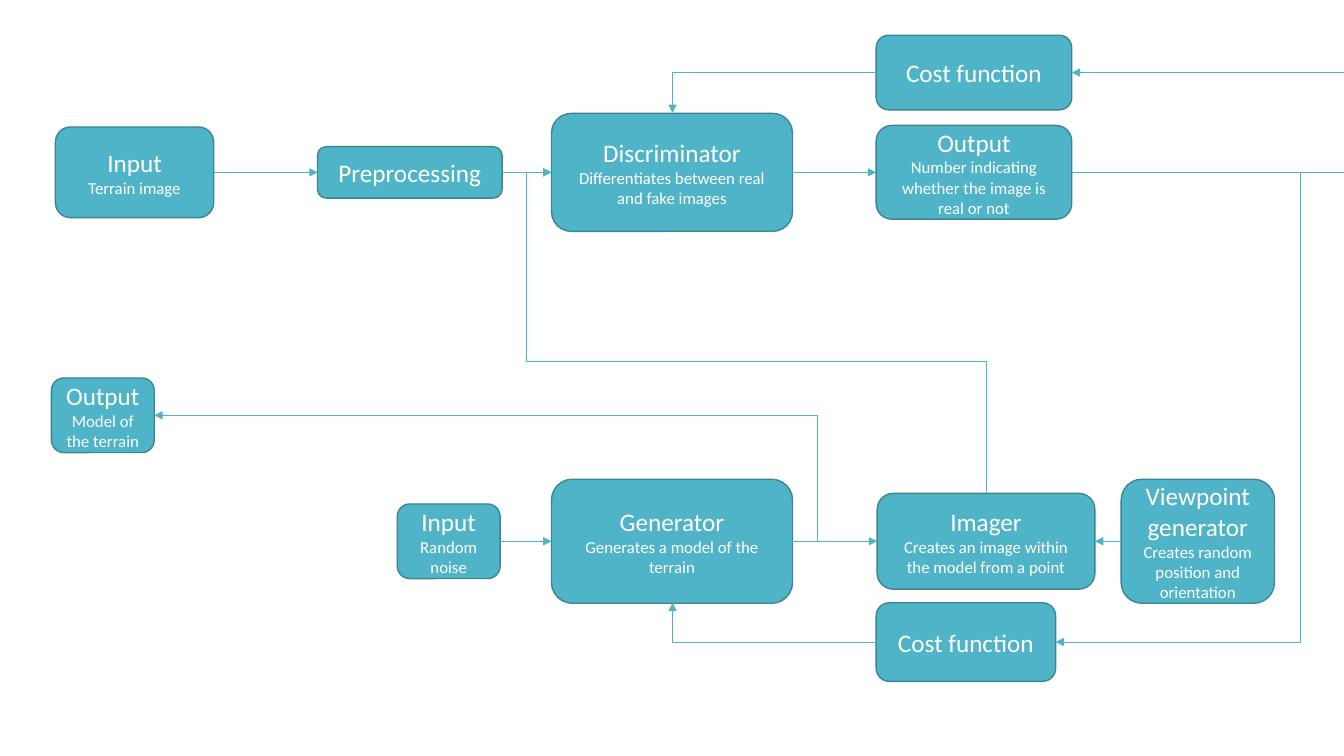
"""Draw the flow of a terrain network with its two feedback loops."""
from lxml import etree
from pptx import Presentation
from pptx.dml.color import RGBColor
from pptx.enum.shapes import MSO_CONNECTOR, MSO_SHAPE
from pptx.enum.text import MSO_ANCHOR, PP_ALIGN
from pptx.oxml.ns import qn
from pptx.util import Inches, Pt

ROUND = MSO_SHAPE.ROUNDED_RECTANGLE
STRAIGHT = MSO_CONNECTOR.STRAIGHT
MIDDLE = MSO_ANCHOR.MIDDLE
CENTER = PP_ALIGN.CENTER
TEAL = RGBColor(0x50, 0xB4, 0xC8)
DARK = RGBColor(0x3B, 0x85, 0x94)
WHITE = RGBColor(0xFF, 0xFF, 0xFF)
WIDTH, HEIGHT = 13.33, 7.5
LEFT, RIGHT = 1, 3
REAL, FAKE = 1.71, 5.37
TOP, MODEL, LOW = 0.72, 4.12, 6.37


def add_box(slide, left, mid, width, height, title, note=""):
    """Add a rounded box centred on the height mid."""
    box = slide.shapes.add_shape(
        ROUND, Inches(left), Inches(mid - height / 2),
        Inches(width), Inches(height))
    box.shadow.inherit = False
    box.fill.solid()
    box.fill.fore_color.rgb = TEAL
    box.line.color.rgb = DARK
    box.line.width = Pt(1)
    frame = box.text_frame
    frame.word_wrap = True
    frame.vertical_anchor = MIDDLE
    frame.text = f"{title}\n{note}" if note else title
    for para, size in zip(frame.paragraphs, (18, 12)):
        para.alignment = CENTER
        para.font.name = "Calibri"
        para.font.size = Pt(size)
        para.font.color.rgb = WHITE
    return box


def style_line(shape, arrow=True):
    """Give a line its colour, width and arrowhead."""
    shape.line.color.rgb = TEAL
    shape.line.width = Pt(0.75)
    if arrow:
        line = shape._element.spPr.get_or_add_ln()
        etree.SubElement(line, qn("a:tailEnd"), type="triangle")


def add_line(slide, start, end, arrow=True):
    """Add a straight line between two points."""
    points = [Inches(value) for value in (*start, *end)]
    line = slide.shapes.add_connector(STRAIGHT, *points)
    style_line(line, arrow)
    etree.SubElement(line._element.spPr, qn("a:effectLst"))
    return line


def link(slide, first, second, out=RIGHT, into=LEFT):
    """Join the facing sides of two boxes with an arrow."""
    line = add_line(slide, (0, 0), (1, 1))
    line.begin_connect(first, out)
    line.end_connect(second, into)


def add_route(slide, *points):
    """Add a bent arrow through the points."""
    start, *rest = [(Inches(x), Inches(y)) for x, y in points]
    maker = slide.shapes.build_freeform(*start)
    maker.add_line_segments(rest, close=False)
    route = maker.convert_to_shape()
    route.shadow.inherit = False
    route.fill.background()
    style_line(route)


def main():
    """Build and save the slide."""
    deck = Presentation()
    deck.slide_width, deck.slide_height = Inches(WIDTH), Inches(HEIGHT)
    slide = deck.slides.add_slide(deck.slide_layouts[6])

    image = add_box(slide, 0.55, REAL, 1.57, 0.9, "Input", "Terrain image")
    prep = add_box(slide, 3.15, REAL, 1.83, 0.51, "Preprocessing")
    judge = add_box(slide, 5.47, REAL, 2.39, 1.17, "Discriminator",
                    "Differentiates between real and fake images")
    verdict = add_box(slide, 8.69, REAL, 1.94, 0.93, "Output",
                      "Number indicating whether the image is real or not")
    add_box(slide, 8.69, TOP, 1.94, 0.74, "Cost function")

    noise = add_box(slide, 3.94, FAKE, 1.02, 0.74, "Input", "Random noise")
    maker = add_box(slide, 5.47, FAKE, 2.39, 1.23, "Generator",
                    "Generates a model of the terrain")
    imager = add_box(slide, 8.7, FAKE, 2.16, 0.95, "Imager",
                     "Creates an image within the model from a point")
    view = add_box(slide, 11.12, FAKE, 1.52, 1.23, "Viewpoint generator",
                   "Creates random position and orientation")
    add_box(slide, 8.69, LOW, 1.78, 0.78, "Cost function")
    add_box(slide, 0.51, MODEL, 1.02, 0.74, "Output", "Model of the terrain")

    for row in ((image, prep, judge, verdict), (noise, maker, imager)):
        for first, second in zip(row, row[1:]):
            link(slide, first, second)
    link(slide, view, imager, LEFT, RIGHT)

    add_line(slide, (10.63, REAL), (WIDTH, REAL), arrow=False)
    add_line(slide, (WIDTH, TOP), (10.63, TOP))
    add_route(slide, (8.69, TOP), (6.67, TOP), (6.67, 1.12))
    add_route(slide, (8.69, LOW), (6.67, LOW), (6.67, 5.98))
    add_route(slide, (10.63, REAL), (12.9, REAL), (12.9, LOW), (10.47, LOW))
    add_route(slide, (7.86, FAKE), (8.11, FAKE), (8.11, MODEL), (1.53, MODEL))
    add_route(slide, (9.78, 4.89), (9.78, 3.59), (5.22, 3.59),
              (5.22, REAL), (5.47, REAL))
    deck.save("out.pptx")


if __name__ == "__main__":
    main()
